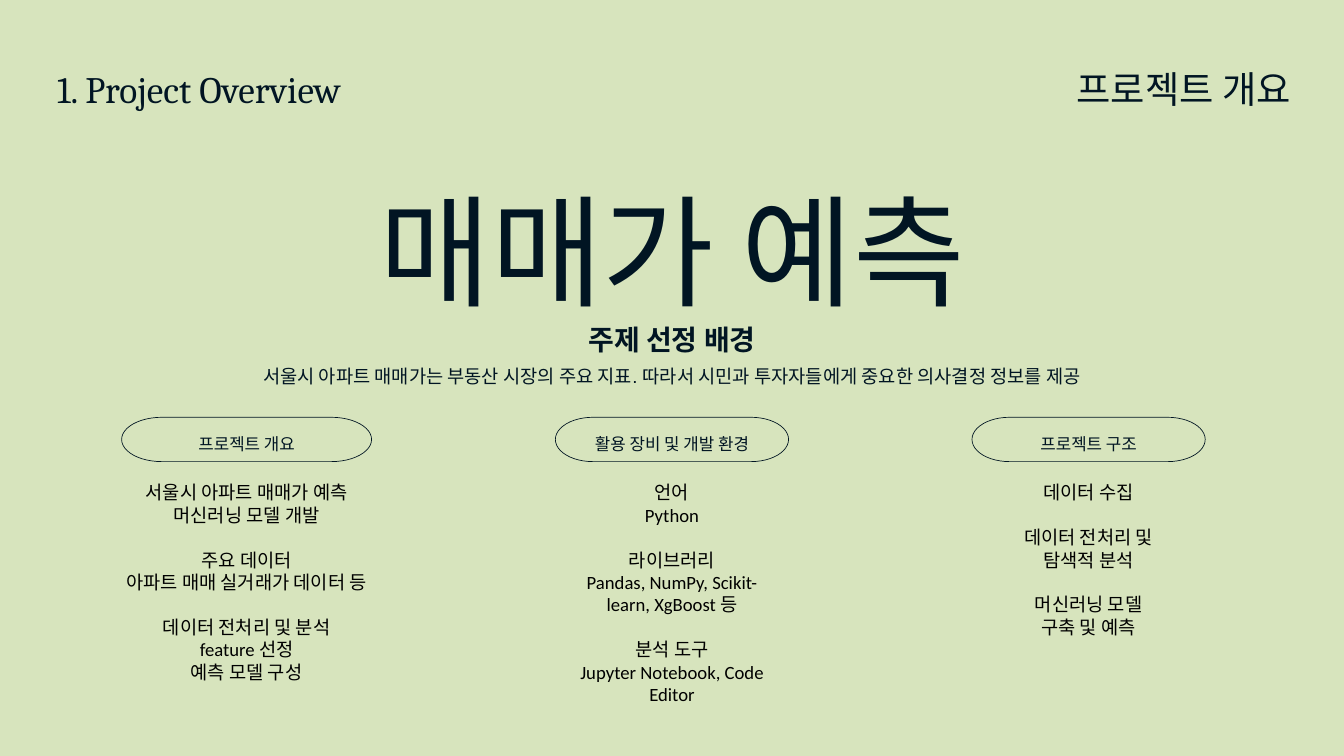
from pptx import Presentation, util as u
from pptx.dml.color import RGBColor
from pptx.enum import shapes, text
from pptx.oxml.ns import qn

GREEN = RGBColor(0xD7, 0xE4, 0xBD)
NAVY = RGBColor(0x01, 0x15, 0x23)
BLACK = RGBColor(0, 0, 0)
LEFT, CENTER, RIGHT = text.PP_ALIGN.LEFT, text.PP_ALIGN.CENTER, text.PP_ALIGN.RIGHT

# Grid of 80 columns by 45 rows
WIDTH, HEIGHT = u.Inches(20), u.Inches(11.25)
COLUMN, ROW = WIDTH / 80, HEIGHT / 45
GROUP_GAP = 24  # one empty line of body text, in points

# Column centre, pill width, body width, pill label, groups of lines
TOPICS = [
    (14.68, 14.88, 16.44, "프로젝트 개요", [
        ["서울시 아파트 매매가 예측 머신러닝 모델 개발"],
        ["주요 데이터", "아파트 매매 실거래가 데이터 등"],
        ["데이터 전처리 및 분석", "feature 선정", "예측 모델 구성"]]),
    (40, 13.88, 12.36, "활용 장비 및 개발 환경", [
        ["언어", "Python"],
        ["라이브러리", "Pandas, NumPy, Scikit-learn, XgBoost 등"],
        ["분석 도구", "Jupyter Notebook, Code Editor"]]),
    (64.8, 13.88, 12.36, "프로젝트 구조", [
        ["데이터 수집"],
        ["데이터 전처리 및", "탐색적 분석"],
        ["머신러닝 모델", "구축 및 예측"]]),
]


def to_box(left, top, width, height):
    return [round(v) for v in (left * COLUMN, top * ROW, width * COLUMN, height * ROW)]


def place(shape, box):
    shape.left, shape.top, shape.width, shape.height = box


def set_frame(shape, margin=0.0, anchor=text.MSO_ANCHOR.TOP):
    frame = shape.text_frame
    frame.word_wrap = True
    frame.auto_size = text.MSO_AUTO_SIZE.NONE
    frame.vertical_anchor = anchor
    frame.margin_left = frame.margin_right = u.Inches(margin)
    frame.margin_top = frame.margin_bottom = u.Inches(margin)
    return frame


def format_paragraph(paragraph, content, size, font, color=NAVY, align=CENTER,
                     spacing=1.4, before=0, bold=False):
    paragraph.text = content
    properties = paragraph._p.get_or_add_pPr()
    properties.set("marL", "0")
    properties.set("indent", "0")
    properties.append(properties.makeelement(qn("a:buNone"), {}))
    paragraph.alignment = align
    paragraph.line_spacing = spacing
    paragraph.space_before = u.Pt(before)
    paragraph.font.size = u.Pt(size)
    paragraph.font.name = font
    paragraph.font.bold = bold
    paragraph.font.color.rgb = color


def add_header(slide, box):
    """Section title on the left, its Korean name on the right."""
    left, top, width, height = box
    title = slide.shapes.title
    place(title, (left, top, round(width * 0.31), height))
    format_paragraph(set_frame(title).paragraphs[0], "1. Project Overview",
                     40, "Cambria", align=LEFT)
    name_width = round(width * 0.23)
    name = slide.shapes.add_textbox(left + width - name_width, top, name_width, height)
    format_paragraph(set_frame(name).paragraphs[0], "프로젝트 개요",
                     40, "Arial", align=RIGHT)


def add_headline(slide, box):
    headline = slide.shapes.add_textbox(*box)
    format_paragraph(set_frame(headline).paragraphs[0], "매매가 예측", 130, "Cambria")


def fill_background(placeholder, box):
    """Reason for the choice of topic: bold heading and one sentence."""
    place(placeholder, box)
    frame = set_frame(placeholder)
    format_paragraph(frame.paragraphs[0], "주제 선정 배경", 30, "Arial", bold=True)
    format_paragraph(
        frame.add_paragraph(),
        "서울시 아파트 매매가는 부동산 시장의 주요 지표. "
        "따라서 시민과 투자자들에게 중요한 의사결정 정보를 제공", 20, "Arial")


def add_pill(slide, box, label):
    pill = slide.shapes.add_shape(shapes.MSO_SHAPE.FLOWCHART_TERMINATOR, *box)
    pill.shadow.inherit = False
    pill.fill.background()
    pill.line.color.rgb = NAVY
    pill.line.width = u.Pt(0.75)
    frame = set_frame(pill, anchor=text.MSO_ANCHOR.MIDDLE)
    format_paragraph(frame.paragraphs[0], label, 18, "Arial")


def fill_topic(placeholder, box, groups):
    place(placeholder, box)
    frame = set_frame(placeholder, margin=0.1)
    paragraph = frame.paragraphs[0]
    for group_index, group in enumerate(groups):
        for line_index, line in enumerate(group):
            if group_index or line_index:
                paragraph = frame.add_paragraph()
            starts_group = group_index > 0 and line_index == 0
            format_paragraph(paragraph, line, 20, "Calibri", BLACK, spacing=1.0,
                             before=GROUP_GAP if starts_group else 0)


def main():
    presentation = Presentation()
    presentation.slide_width, presentation.slide_height = WIDTH, HEIGHT
    # The comparison layout has a title and four body placeholders
    slide = presentation.slides.add_slide(presentation.slide_layouts[4])
    slide.background.fill.solid()
    slide.background.fill.fore_color.rgb = GREEN
    background, *bodies = [p for p in slide.placeholders
                           if p.placeholder_format.idx in (1, 2, 3, 4)]

    add_header(slide, to_box(3.4, 2.86, 73.44, 2.68))
    add_headline(slide, to_box(4, 7, 72, 8.76))
    fill_background(background, to_box(3.16, 18.4, 73.68, 4.16))

    # Three topic columns
    for body, (center, pill_width, body_width, label, groups) in zip(bodies, TOPICS):
        add_pill(slide, to_box(center - pill_width / 2, 24.84, pill_width, 2.64), label)
        fill_topic(body, to_box(center - body_width / 2, 28.24, body_width, 14.88), groups)

    presentation.save("out.pptx")


if __name__ == "__main__":
    main()
